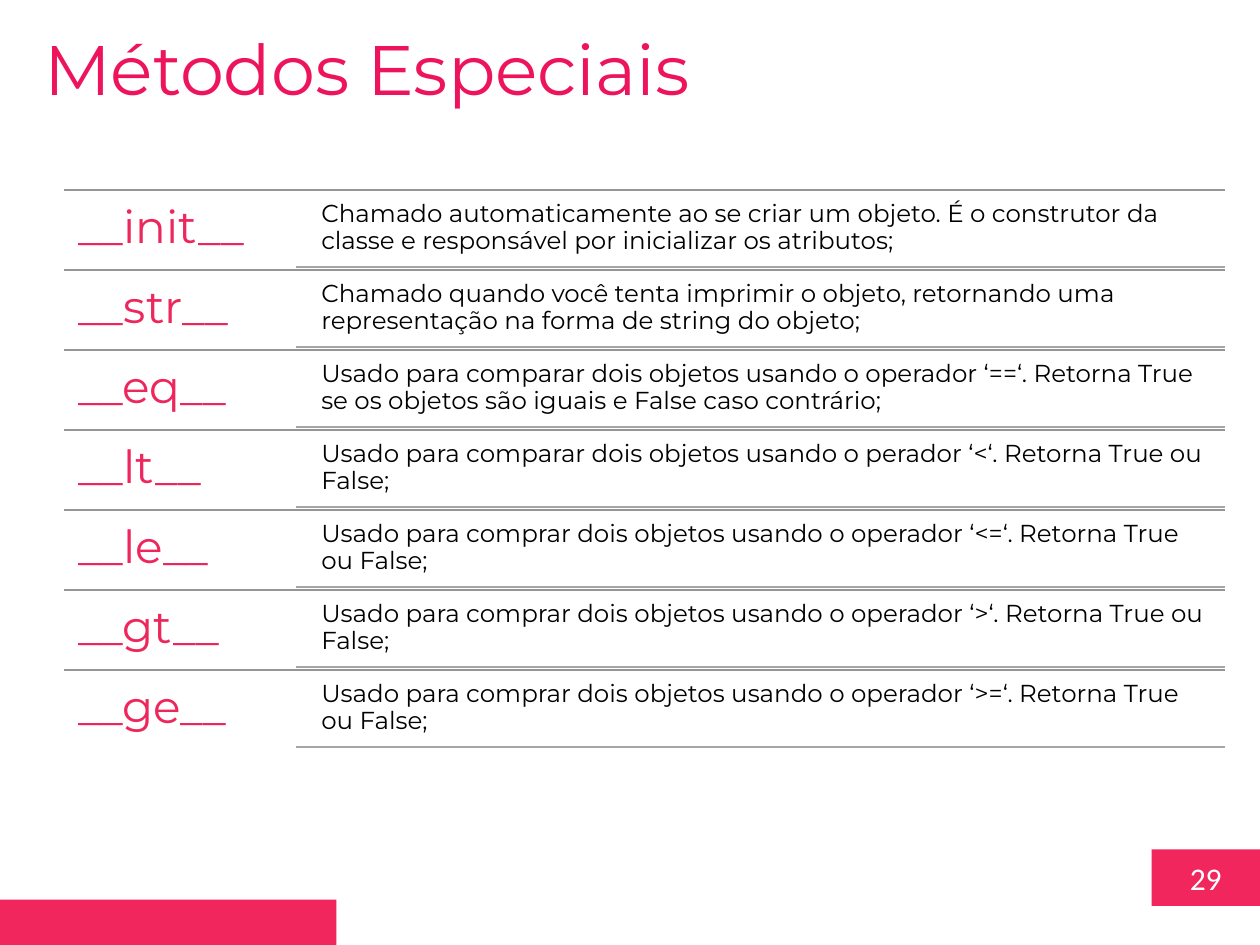
from dataclasses import dataclass
from typing import Any

from pptx import Presentation
from pptx import util as u
from pptx.dml.color import RGBColor
from pptx.enum import shapes, text
from pptx.oxml.ns import qn
from lxml import etree


@dataclass(frozen=True)
class Theme:
    # Colours
    pink: str = "F0265D"
    head: str = "ED145B"
    name: str = "ED265B"
    ink: str = "000000"
    white: str = "FFFFFF"
    rule: str = "969696"
    line: str = "A5A5A5"
    # Fonts and type sizes
    font: str = "Montserrat"
    plain: str = "Calibri"
    big: int = 40
    mid: int = 26
    page: int = 18
    small: int = 14


def write(frame, words, font, size, color, align=text.PP_ALIGN.LEFT,
          anchor=text.MSO_ANCHOR.TOP, inset=None, space=None, after=0):
    """Put formatted text in a text frame."""
    frame.word_wrap = True
    frame.vertical_anchor = anchor
    if inset is not None:
        frame.margin_left = frame.margin_right = u.Inches(inset)
        frame.margin_top = frame.margin_bottom = u.Inches(inset)
    frame.text = words
    para = frame.paragraphs[0]
    para.alignment = align
    para.space_after = u.Pt(after)
    if space:
        para.line_spacing = space
    style = para.runs[0].font
    style.name, style.size = font, u.Pt(size)
    style.color.rgb = RGBColor.from_string(color)


@dataclass
class Deck:
    theme: Theme
    slide: Any

    def title(self, words, *box):
        shape = self.slide.shapes.title
        shape.left, shape.top, shape.width, shape.height = map(u.Inches, box)
        write(shape.text_frame, words, self.theme.font, self.theme.big,
              self.theme.head)
        shape.text_frame.auto_size = text.MSO_AUTO_SIZE.SHAPE_TO_FIT_TEXT

    def block(self, *box):
        shape = self.slide.shapes.add_shape(
            shapes.MSO_SHAPE.RECTANGLE, *map(u.Inches, box))
        shape.shadow.inherit = False
        shape.fill.solid()
        shape.fill.fore_color.rgb = RGBColor.from_string(self.theme.pink)
        shape.line.fill.background()
        return shape

    def label(self, words, box, size, color, inset):
        shape = self.slide.shapes.add_textbox(*map(u.Inches, box))
        write(shape.text_frame, words, self.theme.font, size, color,
              inset=inset, space=0.9, after=5)

    def rule(self, left, right, top, color):
        line = self.slide.shapes.add_connector(
            shapes.MSO_CONNECTOR.STRAIGHT,
            *map(u.Inches, (left, top, right, top)))
        line.line.color.rgb = RGBColor.from_string(color)
        line.line.width = u.Pt(1)
        etree.SubElement(line._element.spPr, qn("a:effectLst"))


METHODS = [
    ("__init__", "Chamado automaticamente ao se criar um objeto. É o construtor "
     "da classe e responsável por inicializar os atributos;"),
    ("__str__", "Chamado quando você tenta imprimir o objeto, retornando uma "
     "representação na forma de string do objeto;"),
    ("__eq__", "Usado para comparar dois objetos usando o operador ‘==‘. "
     "Retorna True se os objetos são iguais e False caso contrário;"),
    ("__lt__", "Usado para comparar dois objetos usando o perador ‘<‘. "
     "Retorna True ou False;"),
    ("__le__", "Usado para comprar dois objetos usando o operador ‘<=‘. "
     "Retorna True ou False;"),
    ("__gt__", "Usado para comprar dois objetos usando o operador ‘>‘. "
     "Retorna True ou False;"),
    ("__ge__", "Usado para comprar dois objetos usando o operador ‘>=‘. "
     "Retorna True ou False;"),
]


def main():
    show = Presentation()
    show.slide_width, show.slide_height = u.Inches(10), u.Inches(7.5)
    theme = Theme()
    deck = Deck(theme, show.slides.add_slide(show.slide_layouts[5]))

    # Page number and footer bar
    page = deck.block(9.14, 6.74, 0.86, 0.45)
    write(page.text_frame, "29", theme.plain, theme.page, theme.white,
          align=text.PP_ALIGN.CENTER, anchor=text.MSO_ANCHOR.MIDDLE)
    deck.block(0, 7.14, 2.67, 0.36)

    # Heading
    deck.title("Métodos Especiais", 0.25, 0.15, 6.92, 0.77)

    # One row per method, evenly spaced between the first and last rules
    left, right, first, last = 0.51, 9.72, 1.51, 5.32
    step = (last - first) / (len(METHODS) - 1)
    for row, (name, note) in enumerate(METHODS):
        top = first + row * step
        deck.rule(left, right, top, theme.rule)
        deck.label(name, (left, top, 1.84, step), theme.mid, theme.name, 0.11)
        deck.label(note, (2.49, top + 0.03, 7.23, 0.58), theme.small,
                   theme.ink, 0.06)
        deck.rule(2.35, right, top + 0.61, theme.line)

    show.save("out.pptx")


if __name__ == "__main__":
    main()
